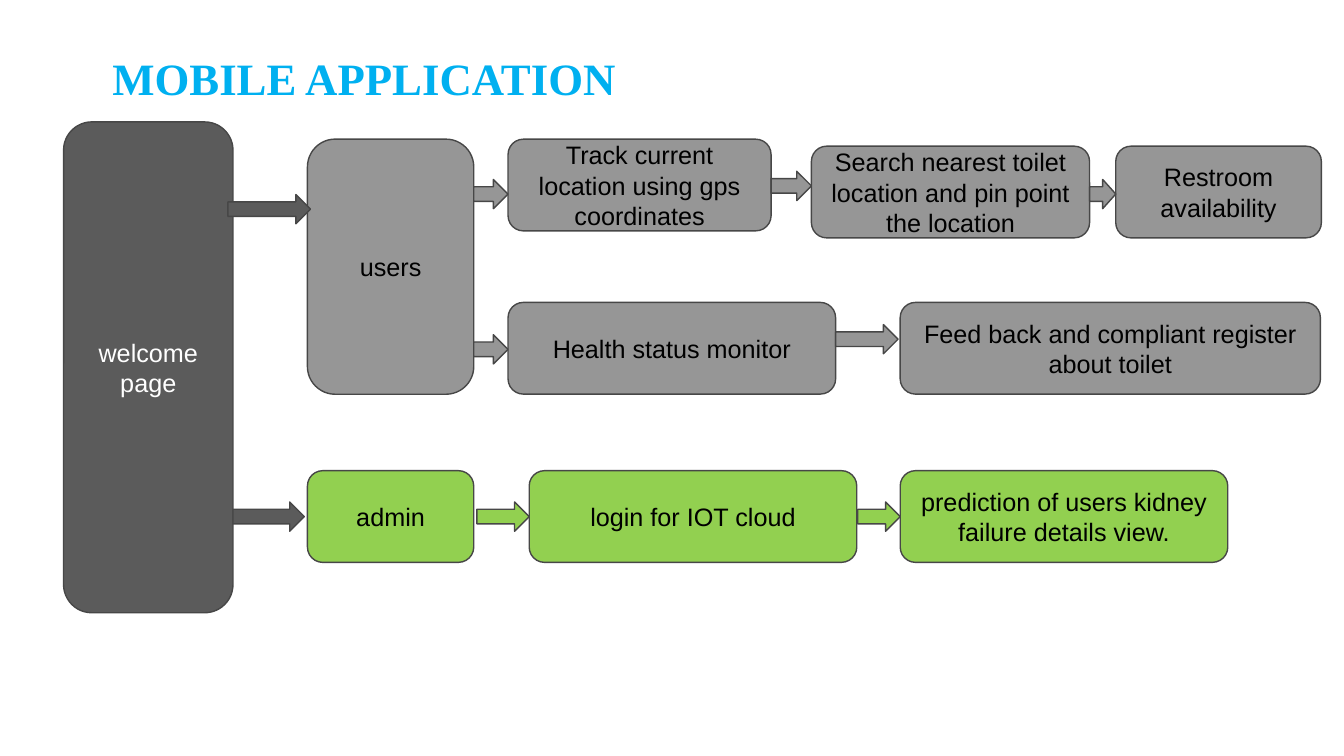
from pptx import Presentation
from pptx.dml.color import RGBColor as Rgb
from pptx.enum.shapes import MSO_SHAPE as Kind
from pptx.enum.text import MSO_ANCHOR as Anchor, PP_ALIGN as Align
from pptx.util import Pt

DARK, GRAY, GREEN, EDGE = "5B5B5B", "969696", "92D050", "474747"
TITLE = "MOBILE APPLICATION"
HIGH, THICK = 65.5, 20.9  # height of a step box and of an arrow

# key: (text, fill, left, top, width, height)
STEPS = {
    "welcome": ("welcome page", DARK, 45.4, 87.1, 121, 350.6),
    "users": ("users", GRAY, 219.6, 99.4, 118.8, 182.2),
    "track": ("Track current location using gps coordinates",
              GRAY, 362.9, 99.4, 187.9, HIGH),
    "search": ("Search nearest toilet location and pin point the location",
               GRAY, 579.6, 104.4, 198.7, HIGH),
    "rest": ("Restroom availability", GRAY, 797, 104.4, 146.9, HIGH),
    "health": ("Health status monitor", GRAY, 362.9, 216, 234, HIGH),
    "feed": ("Feed back and compliant register about toilet",
             GRAY, 643, 216, 300.2, HIGH),
    "admin": ("admin", GREEN, 219.6, 336.2, 118.8, HIGH),
    "login": ("login for IOT cloud", GREEN, 378, 336.2, 234, HIGH),
    "predict": ("prediction of users kidney failure details view.",
                GREEN, 643, 336.2, 234, HIGH),
}

# (from, to, middle height, shift of tail, shift of tip)
LINKS = [
    ("welcome", "users", 149.4, -3.6, 2.2),
    ("welcome", "admin", 369, 0, -2.2),
    ("users", "track", 138.6, 0, 0),
    ("track", "search", 132.8, 0, 0),
    ("search", "rest", 138.6, 0, 0),
    ("users", "health", 249.5, 0, 0),
    ("health", "feed", 242.3, 0, -1.5),
    ("admin", "login", 369, 2.2, 0),
    ("login", "predict", 369, 0.7, 0),
]


def color(code):
    """Turn a hex string into a colour."""
    return Rgb.from_string(code)


def write(shape, text, size=18, font="Arial", ink="000000", bold=False,
          align=Align.CENTER):
    """Put formatted text into a shape."""
    frame = shape.text_frame
    frame.word_wrap = True
    frame.vertical_anchor = Anchor.MIDDLE
    para = frame.paragraphs[0]
    para.alignment = align
    run = para.add_run()
    run.text = text
    run.font.size, run.font.name, run.font.bold = Pt(size), font, bold
    run.font.color.rgb = color(ink)


def place(shape, *box):
    """Set left, top, width and height in points."""
    shape.left, shape.top, shape.width, shape.height = map(Pt, box)


def draw(slide, kind, fill, *box):
    """Add a filled and outlined shape."""
    shape = slide.shapes.add_shape(kind, *map(Pt, box))
    shape.shadow.inherit = False
    shape.fill.solid()
    shape.fill.fore_color.rgb = color(fill)
    shape.line.color.rgb = color(EDGE)
    shape.line.width = Pt(1)
    return shape


def link(slide, start, end, mid, tail, tip):
    """Add a block arrow from one step to the next."""
    _, fill, left, _, width, _ = STEPS[start]
    x = left + width + tail
    stop = STEPS[end][2] + tip
    draw(slide, Kind.RIGHT_ARROW, fill, x, mid - THICK / 2, stop - x, THICK)


def main():
    """Build and save the slide."""
    deck = Presentation()
    deck.slide_width, deck.slide_height = Pt(960), Pt(540)
    slide = deck.slides.add_slide(deck.slide_layouts[5])
    title = slide.shapes.title
    place(title, 66.2, 28.8, 828, 53.3)
    write(title, TITLE, size=32, font="Times New Roman", ink="00B0F0",
          bold=True, align=Align.LEFT)
    title.text_frame.margin_left = Pt(14)
    for text, fill, *box in STEPS.values():
        step = draw(slide, Kind.ROUNDED_RECTANGLE, fill, *box)
        write(step, text, ink="FFFFFF" if fill == DARK else "000000")
    for item in LINKS:
        link(slide, *item)
    deck.save("out.pptx")


main()
